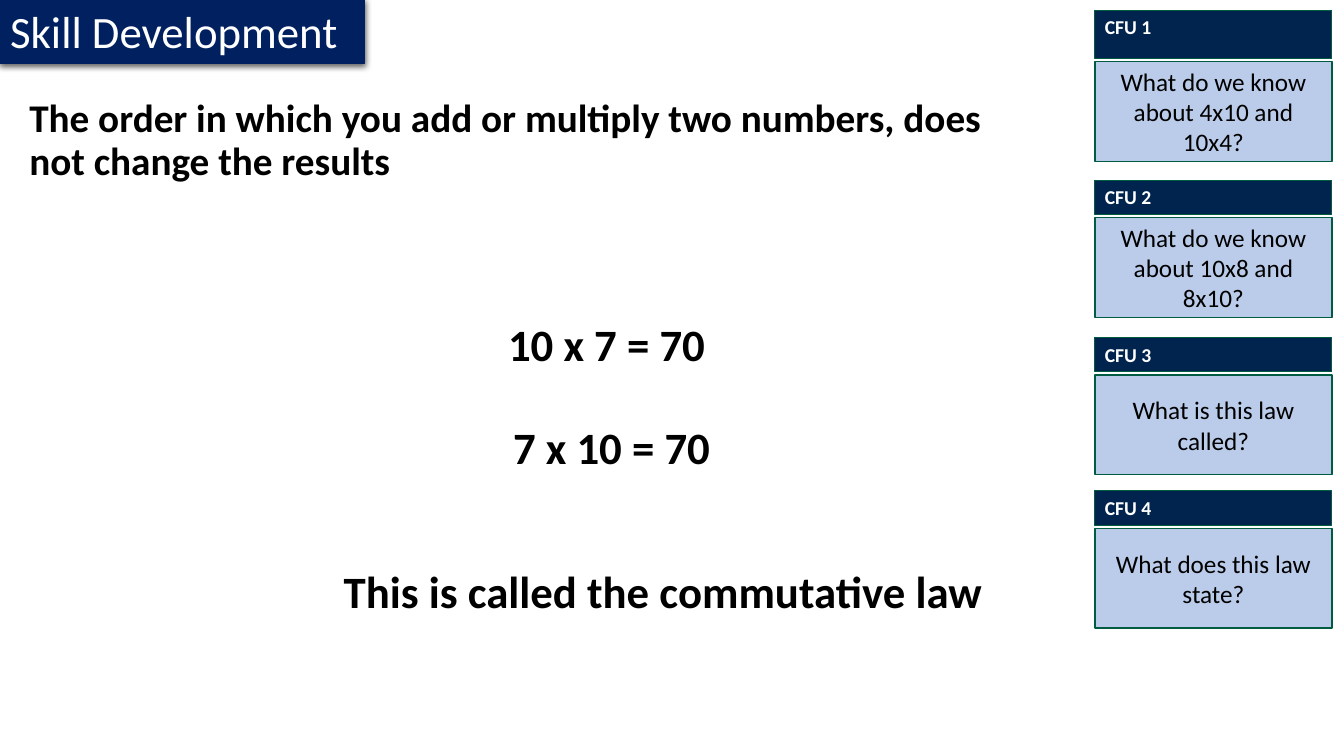
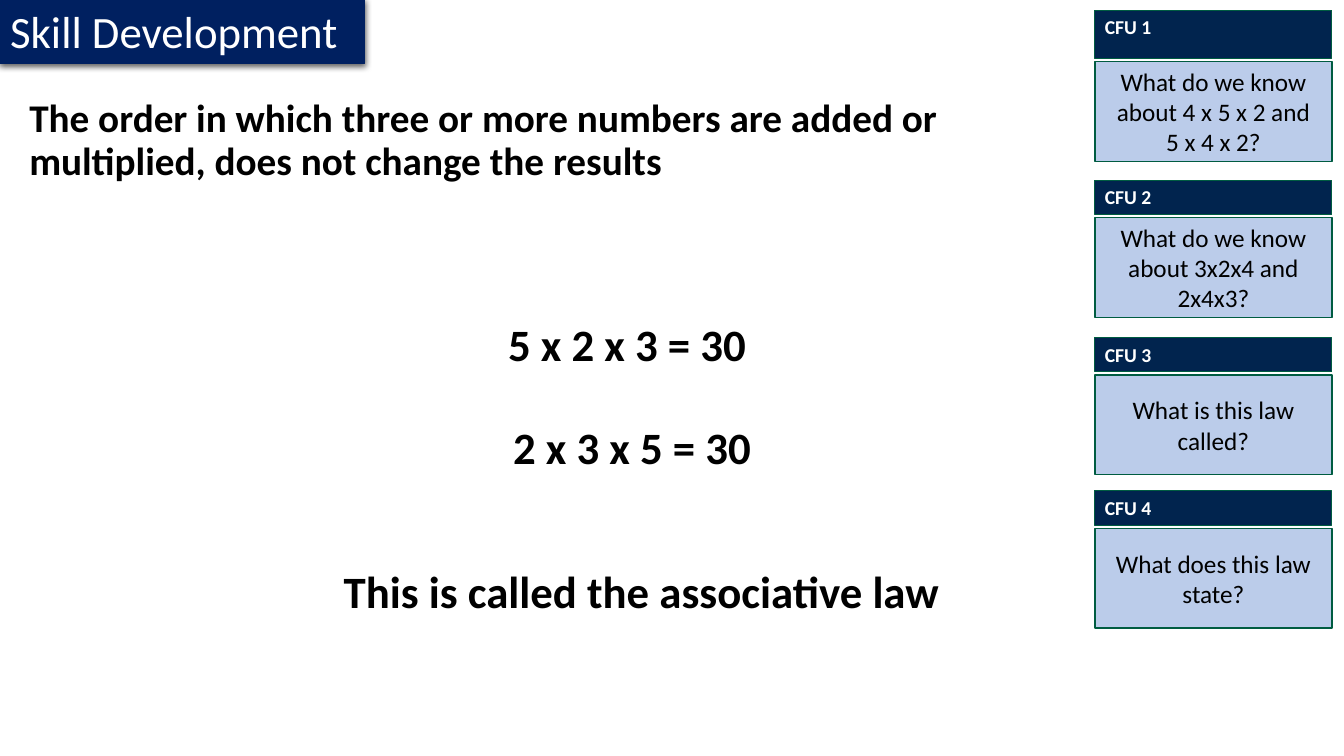
from pptx import Presentation
from pptx.dml.color import RGBColor
from pptx.enum.shapes import MSO_SHAPE as Shape
from pptx.enum.text import MSO_ANCHOR as Anchor, PP_ALIGN as Align
from pptx.oxml import parse_xml
from pptx.oxml.ns import nsdecls, qn
from pptx.util import Inches, Pt
from lxml import etree

FONT = "Calibri"
BLACK, WHITE = "000000", "FFFFFF"
BANNER_BLUE, HEADING_BLUE, QUESTION_BLUE = "002060", "01244E", "8FAADC"
BORDER_GREEN = "005C41"

CARD_LEFT, CARD_WIDTH = 10.86, 2.35
QUESTION_HEIGHT, CARD_GAP = 0.99, 0.03
CARD_ROWS = [(0.1, 0.48), (1.79, 0.34), (3.35, 0.34), (4.87, 0.34)]  # top, heading height
STATEMENT_PLACES = [(4.94, 3.15), (4.99, 4.17), (3.31, 5.6)]
LAW_QUESTIONS = ["What is this law called?", "What does this law state?"]

LESSONS = [
    {
        "rule": "The order in which you add or multiply two numbers, "
                "does not change the results",
        "statements": ["10 x 7 = 70", "7 x 10 = 70",
                       "This is called the commutative law"],
        "questions": ["What do we know about 4x10 and 10x4?",
                      "What do we know about 10x8 and 8x10?"],
    },
    {
        "rule": "The order in which three or more numbers are added or "
                "multiplied, does not change the results",
        "statements": ["5 x 2 x 3 = 30", "2 x 3 x 5 = 30",
                       "This is called the associative law"],
        "questions": ["What do we know about 4 x 5 x 2 and\n5 x 4 x 2?",
                      "What do we know about 3x2x4 and 2x4x3?"],
    },
]


def rgb(value):
    return RGBColor.from_string(value)


def place(shape, left, top, width, height):
    shape.left, shape.top = Inches(left), Inches(top)
    shape.width, shape.height = Inches(width), Inches(height)


def paint(shape, fill, line, line_width):
    shape.fill.solid()
    shape.fill.fore_color.rgb = rgb(fill)
    shape.line.color.rgb = rgb(line)
    shape.line.width = Pt(line_width)


def write(shape, text, size, color=BLACK, bold=False, align=Align.LEFT,
          anchor=Anchor.TOP, spacing=1.0, wrap=True):
    frame = shape.text_frame
    frame.text = text
    frame.word_wrap = wrap
    frame.vertical_anchor = anchor
    for para in frame.paragraphs:
        para.alignment = align
        para.line_spacing = spacing
        para.space_before = Pt(0)
        para.font.name = FONT
        para.font.size = Pt(size)
        para.font.bold = bold
        para.font.color.rgb = rgb(color)


def add_banner(page):
    """Turn the title placeholder into the arrow-shaped banner."""
    banner = page.shapes.title
    place(banner, 0, -0.01, 3.62, 0.64)
    properties = banner._element.spPr
    properties.append(parse_xml(
        f'<a:prstGeom {nsdecls("a")} prst="homePlate"><a:avLst/></a:prstGeom>'))
    paint(banner, BANNER_BLUE, BANNER_BLUE, 0.75)
    properties.append(parse_xml(
        f'<a:effectLst {nsdecls("a")}>'
        f'<a:outerShdw blurRad="{Pt(4.5)}" dist="{Pt(1.5)}" dir="5400000" rotWithShape="0">'
        f'<a:srgbClr val="{BLACK}"><a:alpha val="63000"/></a:srgbClr>'
        '</a:outerShdw></a:effectLst>'))
    write(banner, "Skill Development", 32, WHITE, wrap=False)


def add_rule(page, text):
    body = page.placeholders[1]
    place(body, 0.19, 0.93, 9.77, 1)
    body.text_frame.text = text
    settings = body.text_frame.paragraphs[0]._p.get_or_add_pPr()
    settings.set("marL", "0")
    settings.set("indent", "0")
    etree.SubElement(settings, qn("a:buNone"))
    para = body.text_frame.paragraphs[0]
    para.line_spacing = 0.9
    para.space_before = Pt(0)
    para.font.name = FONT
    para.font.size = Pt(28)
    para.font.bold = True
    para.font.color.rgb = rgb(BLACK)


def add_statement(page, text, left, top):
    width = CARD_LEFT - left - 0.1
    box = page.shapes.add_textbox(Inches(left), Inches(top), Inches(width), Inches(0.72))
    write(box, text, 32, bold=True, spacing=0.9)


def add_panel(group, top, height, fill, line_width):
    panel = group.shapes.add_shape(Shape.RECTANGLE, Inches(CARD_LEFT), Inches(top),
                                   Inches(CARD_WIDTH), Inches(height))
    panel.shadow.inherit = False
    paint(panel, fill, BORDER_GREEN, line_width)
    return panel


def add_question_card(page, number, question, top, heading_height):
    group = page.shapes.add_group_shape()
    heading = add_panel(group, top, heading_height, HEADING_BLUE, 0.75)
    write(heading, f"CFU {number}", 14, WHITE, bold=True)

    panel = add_panel(group, top + heading_height + CARD_GAP, QUESTION_HEIGHT,
                      QUESTION_BLUE, 1)
    color = panel._element.spPr.find(qn("a:solidFill")).find(qn("a:srgbClr"))
    etree.SubElement(color, qn("a:alpha")).set("val", "60000")
    write(panel, question, 18, align=Align.CENTER, anchor=Anchor.MIDDLE)


def add_lesson(deck, lesson):
    page = deck.slides.add_slide(deck.slide_layouts[1])
    add_rule(page, lesson["rule"])
    for text, (left, top) in zip(lesson["statements"], STATEMENT_PLACES):
        add_statement(page, text, left, top)
    questions = lesson["questions"] + LAW_QUESTIONS
    for number, (question, row) in enumerate(zip(questions, CARD_ROWS), start=1):
        add_question_card(page, number, question, *row)
    add_banner(page)


def main():
    deck = Presentation()
    deck.slide_width, deck.slide_height = Inches(13.33), Inches(7.5)
    for lesson in LESSONS:
        add_lesson(deck, lesson)
    deck.save("out.pptx")


if __name__ == "__main__":
    main()
